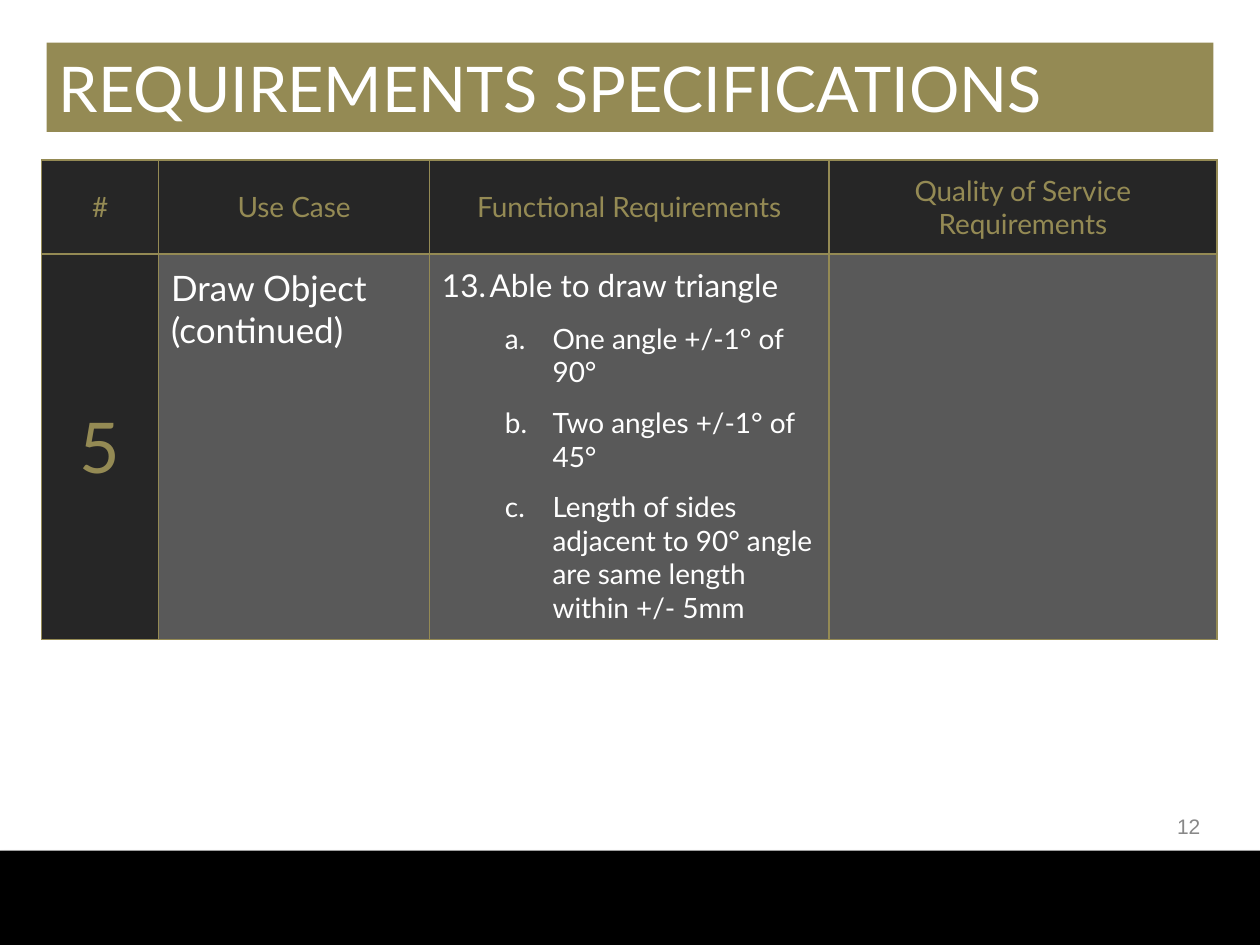
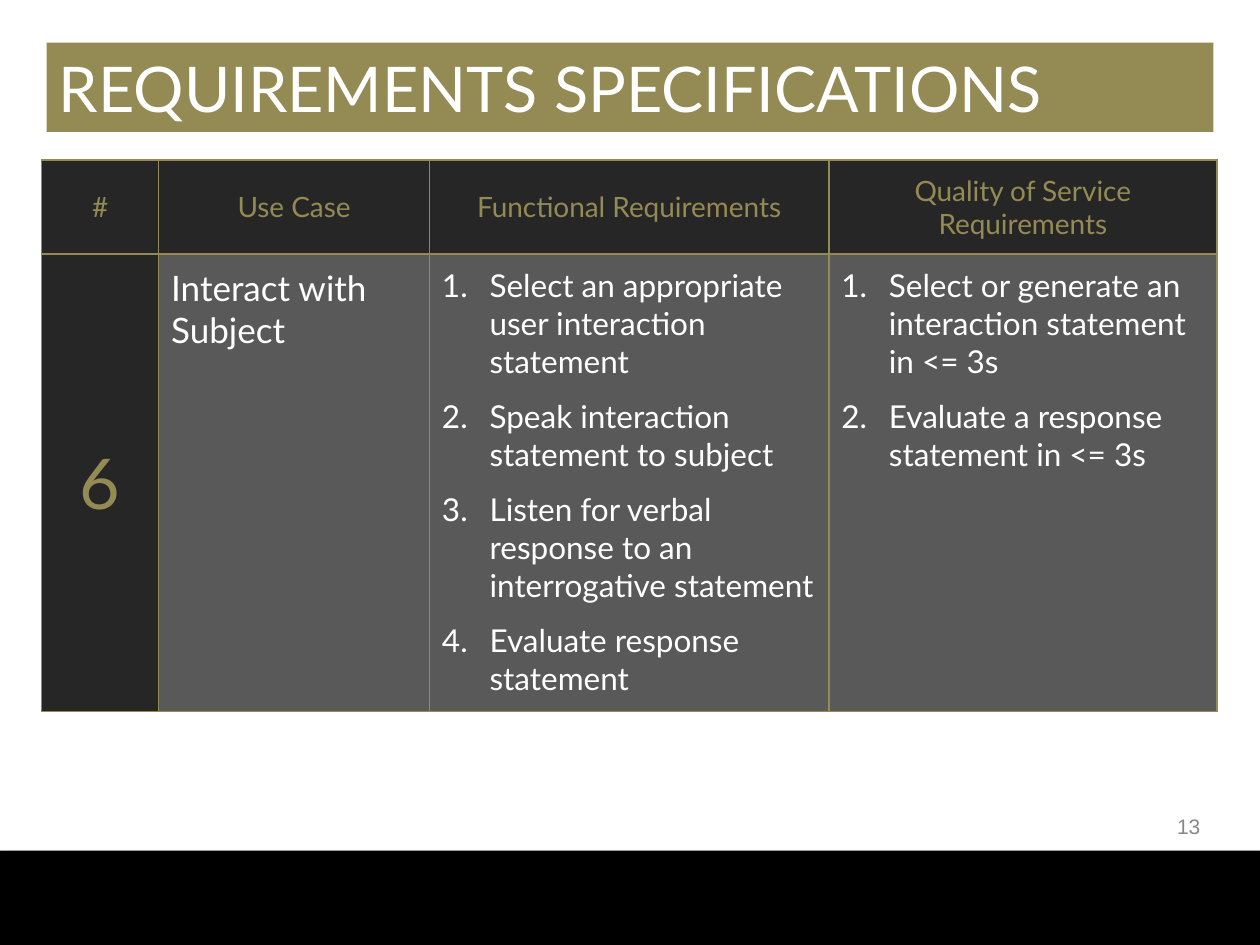
from dataclasses import dataclass

from lxml.etree import SubElement
from pptx import Presentation
from pptx.dml.color import RGBColor
from pptx.enum.shapes import MSO_SHAPE
from pptx.enum.text import MSO_ANCHOR, PP_ALIGN
from pptx.oxml.ns import qn
from pptx.util import Cm, Pt


@dataclass(frozen=True)
class Theme:
    gold: str = "948A54"
    dark: str = "262626"
    grey: str = "595959"
    black: str = "000000"
    white: str = "FFFFFF"
    number_grey: str = "888888"
    font: str = "Lato"
    number_font: str = "Arial"
    title_size: int = 36
    index_size: int = 40
    use_case_size: int = 20
    item_size: int = 18
    small_size: int = 16
    number_size: int = 12
    item_gap: int = 10
    border_width: int = 1


@dataclass(frozen=True)
class Item:
    """A numbered requirement with lettered details."""
    text: str
    details: tuple = ()


TITLE = "REQUIREMENTS SPECIFICATIONS"
HEADINGS = ("#", "Use Case", "Functional Requirements",
            "Quality of Service Requirements")
COLUMN_WIDTHS = (2.36, 5.46, 8.05, 7.82)
HEADER_HEIGHT = 1.89
CELL_INSET = 0.25
HANGING = 0.96
DETAIL_INDENT = 2.23


@dataclass(frozen=True)
class UseCase:
    index: int
    name: str
    functional: tuple
    quality: tuple
    page: int
    height: float
    first_item: int = 1


USE_CASES = (
    UseCase(
        index=5, name="Draw Object\n(continued)", page=12, height=7.77,
        first_item=13,
        functional=(Item("Able to draw triangle", (
            "One angle +/-1° of 90°",
            "Two angles +/-1° of 45°",
            "Length of sides adjacent to 90° angle are same length "
            "within +/- 5mm")),),
        quality=()),
    UseCase(
        index=6, name="Interact with Subject", page=13, height=9.22,
        functional=(
            Item("Select an appropriate user interaction statement"),
            Item("Speak interaction statement to subject"),
            Item("Listen for verbal response to an interrogative statement"),
            Item("Evaluate response statement")),
        quality=(
            Item("Select or generate an interaction statement in <= 3s"),
            Item("Evaluate a response statement in <= 3s"))),
)


class RequirementsDeck:
    def __init__(self, theme):
        self.theme = theme
        self.presentation = Presentation()
        self.presentation.slide_width = Cm(25.4)
        self.presentation.slide_height = Cm(19.05)
        self.slide = None

    def add_slide(self):
        self.slide = self.presentation.slides.add_slide(
            self.presentation.slide_layouts[6])

    def set_text(self, paragraph, text, size, color, font=None):
        paragraph.text = text
        for run in paragraph.runs:
            run.font.size = Pt(size)
            run.font.name = font or self.theme.font
            run.font.color.rgb = RGBColor.from_string(color)

    def bar(self, left, top, width, height, color):
        bar = self.slide.shapes.add_shape(
            MSO_SHAPE.RECTANGLE, Cm(left), Cm(top), Cm(width), Cm(height))
        bar.fill.solid()
        bar.fill.fore_color.rgb = RGBColor.from_string(color)
        bar.line.fill.background()
        bar.shadow.inherit = False
        return bar

    def footer_band(self):
        band = self.bar(0, 17.15, 25.4, 1.9, self.theme.black)
        effects = band.element.spPr.find(qn("a:effectLst"))
        shadow = SubElement(effects, qn("a:outerShdw"), blurRad="40000",
                            dist="23000", dir="5400000", rotWithShape="0")
        tint = SubElement(shadow, qn("a:srgbClr"), val=self.theme.black)
        SubElement(tint, qn("a:alpha"), val="35000")

    def title(self, text):
        frame = self.bar(0.94, 0.86, 23.52, 1.8, self.theme.gold).text_frame
        frame.vertical_anchor = MSO_ANCHOR.MIDDLE
        heading = frame.paragraphs[0]
        heading.alignment = PP_ALIGN.LEFT
        self.set_text(heading, text, self.theme.title_size, self.theme.white)

    def page_number(self, number):
        frame = self.slide.shapes.add_textbox(
            Cm(23.57), Cm(16.28), Cm(0.76), Cm(0.74)).text_frame
        frame.word_wrap = False
        frame.vertical_anchor = MSO_ANCHOR.MIDDLE
        frame.margin_left = frame.margin_right = Cm(0.13)
        frame.margin_top = frame.margin_bottom = Cm(0.13)
        label = frame.paragraphs[0]
        label.alignment = PP_ALIGN.RIGHT
        self.set_text(label, str(number), self.theme.number_size,
                      self.theme.number_grey, self.theme.number_font)

    def style_cell(self, cell, color):
        cell.margin_left = cell.margin_right = Cm(CELL_INSET)
        cell.margin_top = cell.margin_bottom = Cm(CELL_INSET)
        properties = cell._tc.get_or_add_tcPr()
        for side in ("lnL", "lnR", "lnT", "lnB"):
            border = SubElement(properties, qn(f"a:{side}"),
                                w=str(Pt(self.theme.border_width)))
            paint = SubElement(border, qn("a:solidFill"))
            SubElement(paint, qn("a:srgbClr"), val=self.theme.gold)
        cell.fill.solid()
        cell.fill.fore_color.rgb = RGBColor.from_string(color)

    def label_cell(self, cell, text, size):
        """Fill a dark cell with centred gold text."""
        self.style_cell(cell, self.theme.dark)
        cell.vertical_anchor = MSO_ANCHOR.MIDDLE
        label = cell.text_frame.paragraphs[0]
        label.alignment = PP_ALIGN.CENTER
        self.set_text(label, text, size, self.theme.gold)

    def list_cell(self, cell, items, start=1):
        self.style_cell(cell, self.theme.grey)
        entries = []
        for item in items:
            entries.append((item.text, 0))
            entries += [(detail, 1) for detail in item.details]
        for position, (text, level) in enumerate(entries):
            frame = cell.text_frame
            entry = frame.add_paragraph() if position else frame.paragraphs[0]
            self.number(entry, level, start)
            if position:
                entry.space_before = Pt(self.theme.item_gap)
            size = self.theme.small_size if level else self.theme.item_size
            self.set_text(entry, text, size, self.theme.white)

    def number(self, paragraph, level, start):
        """Number level 0 from start, and letter level 1 from a."""
        paragraph.level = level
        properties = paragraph._p.get_or_add_pPr()
        properties.set("marL", str(Cm(DETAIL_INDENT if level else HANGING)))
        properties.set("indent", str(-Cm(HANGING)))
        scheme = "alphaLcPeriod" if level else "arabicPeriod"
        numbering = SubElement(properties, qn("a:buAutoNum"), type=scheme)
        if start > 1 and not level:
            numbering.set("startAt", str(start))

    def use_case_table(self, use_case):
        table = self.slide.shapes.add_table(
            2, len(HEADINGS), Cm(0.84), Cm(3.23), Cm(sum(COLUMN_WIDTHS)),
            Cm(HEADER_HEIGHT + use_case.height)).table
        table.first_row = table.horz_banding = False
        for column, width in zip(table.columns, COLUMN_WIDTHS):
            column.width = Cm(width)
        for row, height in zip(table.rows, (HEADER_HEIGHT, use_case.height)):
            row.height = Cm(height)
        for column, heading in enumerate(HEADINGS):
            self.label_cell(table.cell(0, column), heading,
                            self.theme.small_size)
        index, name, functional, quality = table.rows[1].cells
        self.label_cell(index, str(use_case.index), self.theme.index_size)
        self.style_cell(name, self.theme.grey)
        self.set_text(name.text_frame.paragraphs[0], use_case.name,
                      self.theme.use_case_size, self.theme.white)
        self.list_cell(functional, use_case.functional, use_case.first_item)
        self.list_cell(quality, use_case.quality)


def main():
    deck = RequirementsDeck(Theme())
    for use_case in USE_CASES:
        deck.add_slide()
        deck.footer_band()
        deck.title(TITLE)
        deck.page_number(use_case.page)
        deck.use_case_table(use_case)
    deck.presentation.save("out.pptx")


if __name__ == "__main__":
    main()
